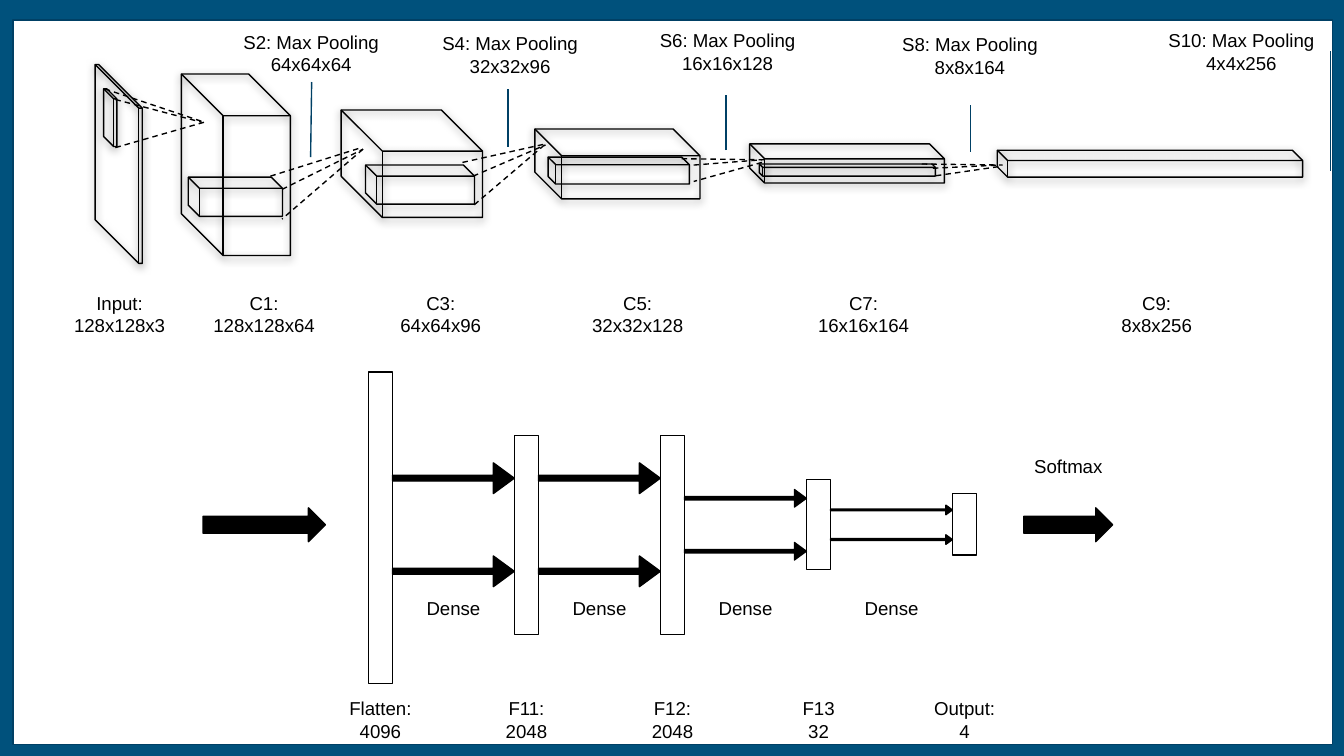
from dataclasses import dataclass

from lxml import etree
from pptx import Presentation
from pptx.dml.color import RGBColor
from pptx.enum.dml import MSO_LINE
from pptx.enum.shapes import MSO_CONNECTOR, MSO_SHAPE
from pptx.enum.text import MSO_ANCHOR, PP_ALIGN
from pptx.oxml import parse_xml
from pptx.oxml.ns import qn
from pptx.shapes.autoshape import Shape
from pptx.slide import Slide
from pptx.util import Cm, Pt

RECTANGLE = MSO_SHAPE.RECTANGLE
CUBE = MSO_SHAPE.CUBE
RIGHT_ARROW = MSO_SHAPE.RIGHT_ARROW
STRAIGHT = MSO_CONNECTOR.STRAIGHT
DASH = MSO_LINE.DASH
CENTER = PP_ALIGN.CENTER
TOP = MSO_ANCHOR.TOP

BLACK = RGBColor(0x00, 0x00, 0x00)
WHITE = RGBColor(0xFF, 0xFF, 0xFF)
BLUE = RGBColor(0x00, 0x51, 0x7C)
DARK_BLUE = RGBColor(0x00, 0x40, 0x65)

FONT = "Arial"
SHADOW = (
    '<a:effectLst xmlns:a="http://schemas.openxmlformats.org/drawingml/2006/main">'
    '<a:outerShdw blurRad="57150" dist="19050" dir="5400000" algn="bl" rotWithShape="0">'
    '<a:srgbClr val="000000"><a:alpha val="50000"/></a:srgbClr>'
    "</a:outerShdw></a:effectLst>"
)
VOLUME_DEPTH = 0.383
KERNEL_DEPTH = 0.284
LAYER_LABEL_TOP = 5.26
DENSE_LABEL_TOP = 11.07
UNIT_LABEL_TOP = 12.93
FIRST_BAR_CENTER = 7.19
BAR_STEP = 2.76
BAR_WIDTH = 0.46
FLOW_CENTER = 9.92


@dataclass(frozen=True)
class Box:
    left: float
    top: float
    width: float
    height: float


@dataclass(frozen=True)
class Volume:
    box: Box
    depth: float


@dataclass(frozen=True)
class Line:
    start_x: float
    start_y: float
    end_x: float
    end_y: float


@dataclass(frozen=True)
class Label:
    text: str
    center: float
    top: float


@dataclass(frozen=True)
class Bar:
    label: str
    middle: float
    height: float


@dataclass(frozen=True)
class ArrowPair:
    offset: float
    height: float


VOLUMES = [
    Volume(Box(18.85, 2.84, 5.77, 0.51), VOLUME_DEPTH),
    Volume(Box(14.17, 2.72, 3.68, 0.74), VOLUME_DEPTH),
    Volume(Box(14.35, 3.1, 3.33, 0.23), KERNEL_DEPTH),
    Volume(Box(1.8, 1.22, 0.89, 3.76), 0.926),
    Volume(Box(1.96, 1.68, 0.25, 1.09), 0.759),
    Volume(Box(3.43, 1.4, 2.06, 3.43), VOLUME_DEPTH),
    Volume(Box(6.45, 2.08, 2.67, 2.03), VOLUME_DEPTH),
    Volume(Box(10.11, 2.44, 3.12, 1.32), VOLUME_DEPTH),
    Volume(Box(3.56, 3.35, 1.78, 0.74), KERNEL_DEPTH),
    Volume(Box(6.91, 3.12, 2.06, 0.74), KERNEL_DEPTH),
    Volume(Box(10.36, 2.97, 2.67, 0.51), KERNEL_DEPTH),
]
PROJECTIONS = [
    Line(1.98, 1.68, 3.86, 2.31), Line(2.18, 2.79, 3.86, 2.31), Line(2.18, 1.88, 3.81, 2.31),
    Line(5.11, 3.33, 6.83, 2.79), Line(6.86, 2.82, 5.33, 4.14), Line(5.33, 3.58, 6.86, 2.82),
    Line(8.74, 3.07, 10.31, 2.72), Line(10.29, 2.74, 8.94, 3.89), Line(8.94, 3.33, 10.31, 2.74),
    Line(12.88, 3, 14.45, 3.02), Line(14.4, 3.07, 13.11, 3.43), Line(13.11, 3.12, 14.4, 3.02),
    Line(17.42, 3.1, 18.95, 3.12), Line(18.87, 3.15, 17.63, 3.33), Line(17.63, 3.18, 18.9, 3.12),
]
POOLING_LINES = [
    Line(5.89, 1.55, 5.87, 2.97),
    Line(9.6, 2.77, 9.6, 1.68),
    Line(13.72, 2.84, 13.72, 1.8),
    Line(18.34, 2.87, 18.34, 1.98),
    Line(25.15, 3.23, 25.15, 0.97),
]
LABELS = [
    Label("Input:\n128x128x3", 2.26, LAYER_LABEL_TOP),
    Label("C1:\n128x128x64", 4.99, LAYER_LABEL_TOP),
    Label("C3:\n64x64x96", 8.33, LAYER_LABEL_TOP),
    Label("C5:\n32x32x128", 12.05, LAYER_LABEL_TOP),
    Label("C7:\n16x16x164", 16.32, LAYER_LABEL_TOP),
    Label("C9:\n8x8x256", 21.86, LAYER_LABEL_TOP),
    Label("S2: Max Pooling\n64x64x64", 5.88, 0.33),
    Label("S4: Max Pooling\n32x32x96", 9.64, 0.36),
    Label("S6: Max Pooling\n16x16x128", 13.75, 0.3),
    Label("S8: Max Pooling\n8x8x164", 18.33, 0.38),
    Label("S10: Max Pooling\n4x4x256", 23.46, 0.3),
    Label("Softmax", 20.19, 8.38),
]
BARS = [
    Bar("Flatten:\n4096", 9.98, 5.89),
    Bar("F11:\n2048", 10.11, 3.76),
    Bar("F12:\n2048", 10.11, 3.76),
    Bar("F13\n32", 9.92, 1.7),
    Bar("Output:\n4", 9.91, 1.17),
]
ARROW_PAIRS = [
    ArrowPair(0.88, 0.58), ArrowPair(0.88, 0.58), ArrowPair(0.5, 0.33), ArrowPair(0.28, 0.18),
]


def add_shape(slide: Slide, kind: MSO_SHAPE, box: Box, fill: RGBColor | None = None,
              line: RGBColor = BLACK, adjustments: tuple[float, ...] = ()) -> Shape:
    shape = slide.shapes.add_shape(
        kind, Cm(box.left), Cm(box.top), Cm(box.width), Cm(box.height))
    shape.shadow.inherit = False
    if fill is None:
        shape.fill.background()
    else:
        shape.fill.solid()
        shape.fill.fore_color.rgb = fill
    shape.line.color.rgb = line
    shape.line.width = Pt(0.75)
    for index, value in enumerate(adjustments):
        shape.adjustments[index] = value
    return shape


def add_volume(slide: Slide, volume: Volume) -> None:
    shape = add_shape(slide, CUBE, volume.box, adjustments=(volume.depth,))
    properties = shape.element.spPr
    properties.find(qn("a:xfrm")).set("flipH", "1")
    properties.replace(properties.find(qn("a:effectLst")), parse_xml(SHADOW))


def add_line(slide: Slide, line: Line, color: RGBColor, dash: MSO_LINE | None = None) -> None:
    connector = slide.shapes.add_connector(
        STRAIGHT, Cm(line.start_x), Cm(line.start_y), Cm(line.end_x), Cm(line.end_y))
    connector.line.color.rgb = color
    connector.line.width = Pt(0.75)
    connector.line.dash_style = dash
    etree.SubElement(connector.element.spPr, qn("a:effectLst"))


def add_text(slide: Slide, text: str, *, center: float, top: float, width: float = 3.33,
             size: float = 10, color: RGBColor = BLACK) -> None:
    height = 0.94 + 0.43 * text.count("\n")
    text_box = slide.shapes.add_textbox(
        Cm(center - width / 2), Cm(top), Cm(width), Cm(height))
    frame = text_box.text_frame
    frame.word_wrap = True
    frame.vertical_anchor = TOP
    frame.margin_left = frame.margin_right = Cm(0.25)
    frame.margin_top = frame.margin_bottom = Cm(0.25)
    frame.text = text
    for paragraph in frame.paragraphs:
        paragraph.alignment = CENTER
        paragraph.font.name = FONT
        paragraph.font.size = Pt(size)
        paragraph.font.color.rgb = color


def add_dense_layers(slide: Slide) -> None:
    for index, bar in enumerate(BARS):
        center = FIRST_BAR_CENTER + index * BAR_STEP
        add_shape(slide, RECTANGLE, Box(
            center - BAR_WIDTH / 2, bar.middle - bar.height / 2, BAR_WIDTH, bar.height))
        add_text(slide, bar.label, center=center, top=UNIT_LABEL_TOP, width=2.95)
    for index, pair in enumerate(ARROW_PAIRS):
        center = FIRST_BAR_CENTER + (index + 0.5) * BAR_STEP
        width = BAR_STEP - BAR_WIDTH
        for middle in (FLOW_CENTER - pair.offset, FLOW_CENTER + pair.offset):
            box = Box(center - width / 2, middle - pair.height / 2, width, pair.height)
            add_shape(slide, RIGHT_ARROW, box, fill=BLACK, adjustments=(0.188, 0.681))
        add_text(slide, "Dense", center=center, top=DENSE_LABEL_TOP, width=2.95)


def main() -> None:
    presentation = Presentation()
    presentation.slide_width = Cm(25.4)
    presentation.slide_height = Cm(14.29)
    slide = presentation.slides.add_slide(presentation.slide_layouts[6])
    slide.background.fill.solid()
    slide.background.fill.fore_color.rgb = BLUE
    add_shape(slide, RECTANGLE, Box(0.25, 0.38, 24.94, 13.69), fill=WHITE, line=DARK_BLUE)
    for volume in VOLUMES:
        add_volume(slide, volume)
    for projection in PROJECTIONS:
        add_line(slide, projection, BLACK, DASH)
    add_dense_layers(slide)
    for left, width in ((3.84, 2.31), (19.35, 1.68)):
        add_shape(slide, RIGHT_ARROW, Box(left, FLOW_CENTER - 0.32, width, 0.64), fill=BLACK)
    for pooling_line in POOLING_LINES:
        add_line(slide, pooling_line, DARK_BLUE)
    for label in LABELS:
        add_text(slide, label.text, center=label.center, top=label.top)
    presentation.save("out.pptx")


if __name__ == "__main__":
    main()
